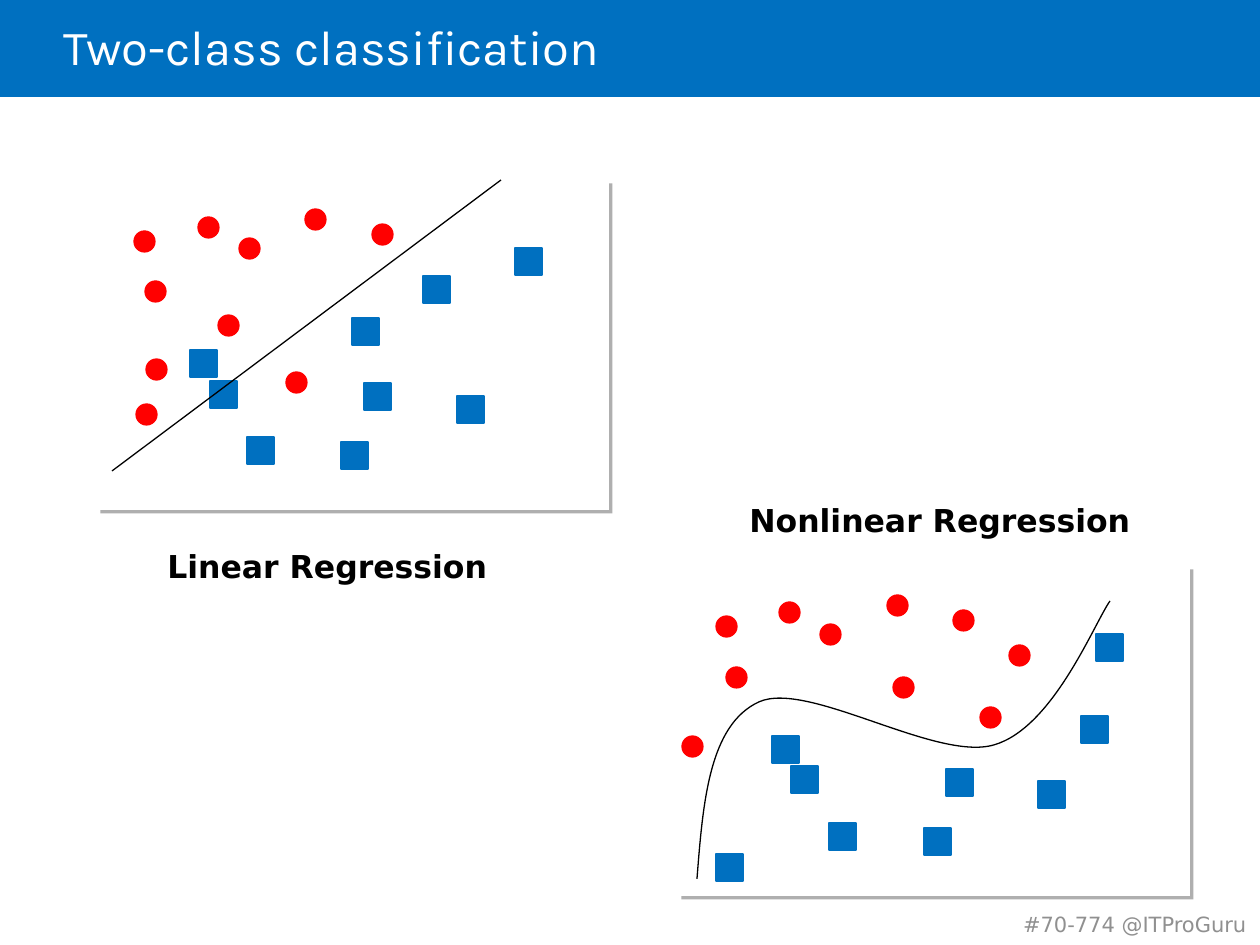
from lxml import etree
from pptx import Presentation
from pptx.dml.color import RGBColor
from pptx.enum.shapes import MSO_CONNECTOR, MSO_SHAPE
from pptx.enum.text import MSO_ANCHOR, MSO_AUTO_SIZE, PP_ALIGN
from pptx.oxml.ns import qn
from pptx.util import Pt

RECT, OVAL = MSO_SHAPE.RECTANGLE, MSO_SHAPE.OVAL
STRAIGHT = MSO_CONNECTOR.STRAIGHT
MIDDLE, FIT = MSO_ANCHOR.MIDDLE, MSO_AUTO_SIZE.SHAPE_TO_FIT_TEXT
LEFT, RIGHT = PP_ALIGN.LEFT, PP_ALIGN.RIGHT

BLUE = RGBColor(0x00, 0x70, 0xC0)
RED = RGBColor(0xFF, 0x00, 0x00)
BLACK = RGBColor(0x00, 0x00, 0x00)
WHITE = RGBColor(0xFF, 0xFF, 0xFF)
GRAY = RGBColor(0x90, 0x90, 0x90)

SCALE = 914400 / 126  # EMU per px
DOT, BOX = 21, 27
PANEL_W, PANEL_H = 512, 330


def emu(*sizes):
    return [round(size * SCALE) for size in sizes]


def add_mark(shapes, kind, area, fill, edge=None):
    mark = shapes.add_shape(kind, *emu(*area))
    mark.shadow.inherit = False
    mark.fill.solid()
    mark.fill.fore_color.rgb = fill
    if edge is None:
        mark.line.fill.background()
    else:
        mark.line.color.rgb = edge
        mark.line.width = Pt(0.75)
    return mark


deck = Presentation()
deck.slide_width, deck.slide_height = emu(1260, 945)
slide = deck.slides.add_slide(deck.slide_layouts[5])

# Header bar, placed behind the title
bar = add_mark(slide.shapes, RECT, (0, 0, 1260, 97), BLUE)
slide.shapes.title.element.addprevious(bar.element)

# Title
title = slide.shapes.title
title.left, title.top, title.width, title.height = emu(63, 0, 1071, 102)
frame = title.text_frame
frame.text = "Two-class classification"
frame.vertical_anchor = MIDDLE
frame.margin_left = 0
para = frame.paragraphs[0]
para.alignment = LEFT
para.line_spacing = 0.85
font = para.runs[0].font
font.name, font.size = "Karla", Pt(28)
font.color.rgb = WHITE

# Scatter panels: corner, dots of one class, boxes of the other
panels = [
    ((97, 180),
     [(134, 231), (145, 281), (198, 217), (146, 359), (218, 315),
      (239, 238), (286, 372), (305, 209), (136, 404), (372, 224)],
     [(190, 350), (210, 381), (457, 396), (247, 437), (364, 383),
      (423, 276), (341, 442), (515, 248), (352, 318)]),
    ((678, 566),
     [(716, 616), (726, 667), (779, 602), (893, 677), (1009, 645),
      (820, 624), (980, 707), (887, 595), (682, 736), (953, 610)],
     [(772, 736), (791, 766), (1038, 781), (829, 823), (946, 769),
      (716, 854), (924, 828), (1096, 634), (1081, 716)]),
]
groups = []
for corner, dots, boxes in panels:
    shapes = slide.shapes.add_group_shape().shapes
    groups.append(shapes)
    panel = add_mark(shapes, RECT, (*corner, PANEL_W, PANEL_H), WHITE)
    effects = panel.element.spPr.find(qn("a:effectLst"))
    shadow = etree.SubElement(effects, qn("a:outerShdw"), dist="35560",
                              dir="2700000", algn="ctr", rotWithShape="0")
    etree.SubElement(shadow, qn("a:srgbClr"), val="AFAFAF")
    for spot in dots:
        add_mark(shapes, OVAL, (*spot, DOT, DOT), RED, RED)
    for spot in boxes:
        add_mark(shapes, RECT, (*spot, BOX, BOX), BLUE, BLUE)

# Straight class border
border = groups[0].add_connector(STRAIGHT, *emu(112, 471, 501, 180))
border.line.color.rgb = BLACK
border.line.width = Pt(0.75)
etree.SubElement(border.element.spPr, qn("a:effectLst"))

# Curved class border: each three points make one Bezier segment
bends = [(703, 803), (709, 725), (759, 702),
         (808, 680), (936, 762), (994, 745),
         (1053, 728), (1094, 624), (1110, 601)]
pen = groups[1].build_freeform(697, 879, scale=SCALE)
pen.add_line_segments(bends, close=False)
curve = pen.convert_to_shape()
curve.shadow.inherit = False
curve.fill.background()
curve.line.color.rgb = BLACK
curve.line.width = Pt(0.75)
route = next(curve.element.iter(qn("a:path")))
steps = route.findall(qn("a:lnTo"))
for start in range(0, len(steps), 3):
    bezier = etree.SubElement(route, qn("a:cubicBezTo"))
    for step in steps[start:start + 3]:
        bezier.append(step[0])
        route.remove(step)

# Captions and footer
labels = [
    ("Linear Regression", (155, 541, 346, 50), 18, True, BLACK, LEFT),
    ("Nonlinear Regression", (737, 495, 413, 50), 18, True, BLACK, LEFT),
    ("#70-774 @ITProGuru", (930, 905, 329, 38), 12, False, GRAY, RIGHT),
]
for text, area, size, bold, color, align in labels:
    frame = slide.shapes.add_textbox(*emu(*area)).text_frame
    frame.text = text
    frame.auto_size = FIT
    frame.word_wrap = align == RIGHT
    para = frame.paragraphs[0]
    para.alignment = align
    font = para.runs[0].font
    font.name, font.size, font.bold = "DejaVu Sans", Pt(size), bold
    font.color.rgb = color

deck.save("out.pptx")
